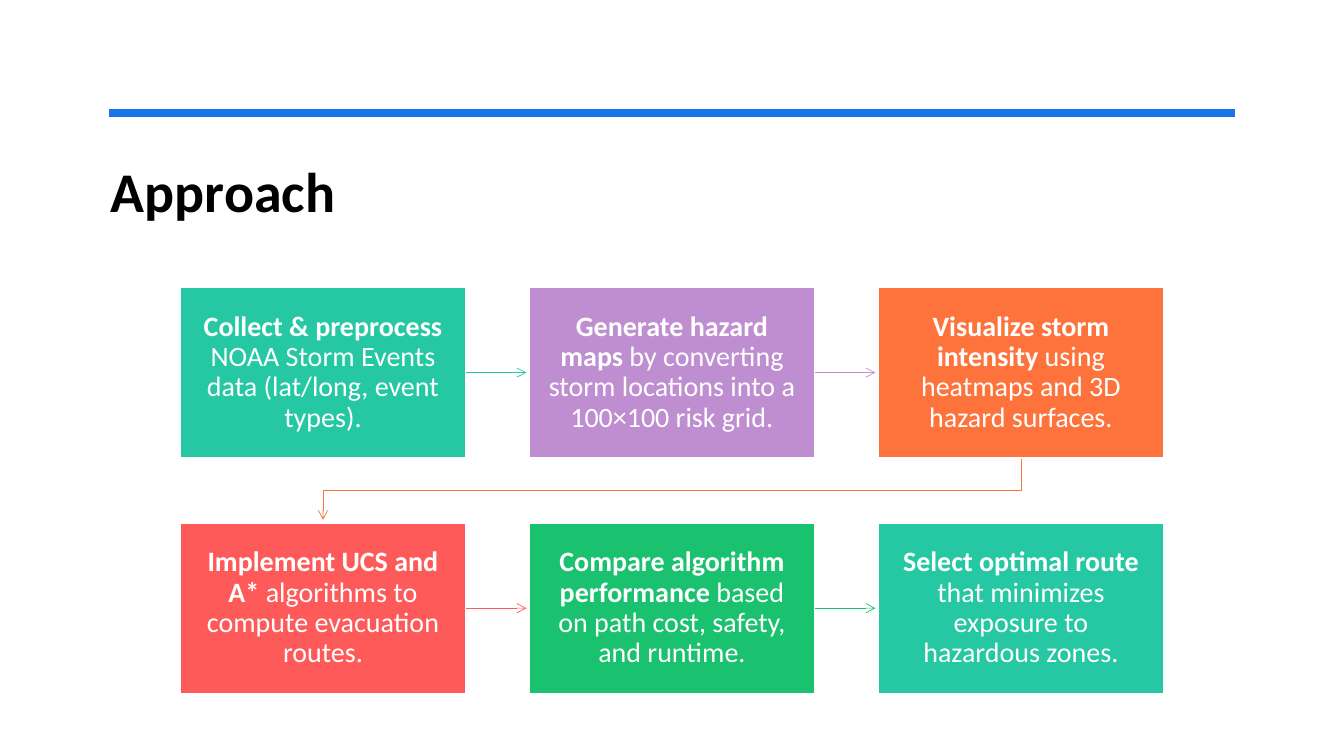
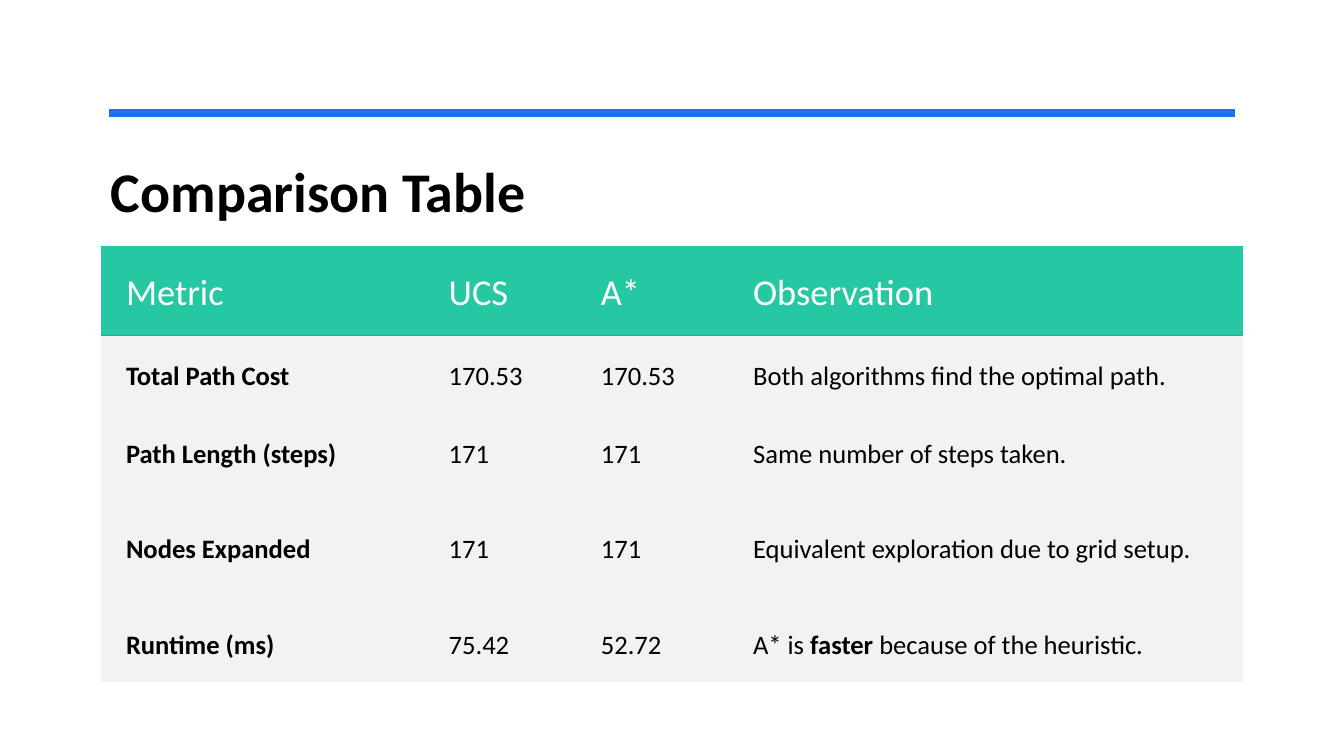
from lxml import etree
from pptx import Presentation
from pptx.dml.color import RGBColor
from pptx.enum import shapes, text
from pptx.oxml import ns
from pptx.util import Inches, Pt

FONT = "Calibri"
COLORS = {
    "black": "000000", "white": "FFFFFF", "blue": "1973EB", "teal": "25C8A2",
    "purple": "BF8ED1", "orange": "FE733C", "red": "FE5A5A", "green": "1AC16E",
    "light": "F2F2F2", "gray": "808080",
}
STEPS = [
    ("teal", "|Collect & preprocess| NOAA Storm Events data (lat/long, event types)."),
    ("purple", "|Generate hazard maps| by converting storm locations into a 100×100 risk grid."),
    ("orange", "|Visualize storm intensity| using heatmaps and 3D hazard surfaces."),
    ("red", "|Implement UCS and A*| algorithms to compute evacuation routes."),
    ("green", "|Compare algorithm performance| based on path cost, safety, and runtime."),
    ("teal", "|Select optimal route| that minimizes exposure to hazardous zones."),
]
METRICS = [
    ("Metric", "UCS", "A*", "Observation"),
    ("|Total Path Cost|", "170.53", "170.53", "Both algorithms find the optimal path."),
    ("|Path Length (steps)|", "171", "171", "Same number of steps taken."),
    ("|Nodes Expanded|", "171", "171", "Equivalent exploration due to grid setup."),
    ("|Runtime (ms)|", "75.42", "52.72", "A* is |faster| because of the heuristic."),
]
NO_STYLE = "{2D5ABB26-0587-4C30-8999-92F81FD0307C}"


def rgb(name):
    return RGBColor.from_string(COLORS[name])


def write(tf, content, size, color, align=text.PP_ALIGN.LEFT, spacing=1.0,
          anchor=text.MSO_ANCHOR.MIDDLE):
    """Fill a text frame; stretches between bars are bold."""
    tf.word_wrap = True
    tf.vertical_anchor = anchor
    p = tf.paragraphs[0]
    p.alignment, p.line_spacing = align, spacing
    for i, part in enumerate(content.split("|")):
        if part:
            r = p.add_run()
            r.text = part
            r.font.name, r.font.size, r.font.bold = FONT, Pt(size), i % 2 == 1
            r.font.color.rgb = rgb(color)


def style_line(shape, color, width, arrow=False):
    shape.line.color.rgb = rgb(color)
    shape.line.width = Pt(width)
    if arrow:
        ln = shape.line._get_or_add_ln()
        etree.SubElement(ln, ns.qn("a:tailEnd"), type="arrow")


def add_line(s, start, end, color, width, arrow=False):
    points = [Inches(v) for v in (*start, *end)]
    line = s.shapes.add_connector(shapes.MSO_CONNECTOR.STRAIGHT, *points)
    style_line(line, color, width, arrow)
    etree.SubElement(line._element.spPr, ns.qn("a:effectLst"))


def add_elbow(s, points, color):
    (x, y), *rest = [(Inches(px), Inches(py)) for px, py in points]
    builder = s.shapes.build_freeform(x, y)
    builder.add_line_segments(rest, close=False)
    elbow = builder.convert_to_shape()
    elbow.fill.background()
    elbow.shadow.inherit = False
    style_line(elbow, color, 0.5, arrow=True)


def titled_slide(prs, title):
    s = prs.slides.add_slide(prs.slide_layouts[5])
    ph = s.shapes.title
    ph.left, ph.top, ph.width, ph.height = map(Inches, (1, 1.5, 11.33, 1.25))
    write(ph.text_frame, f"|{title}|", 40, "black", anchor=text.MSO_ANCHOR.TOP)
    add_line(s, (1.08, 1.12), (12.25, 1.12), "blue", 6)
    return s


def add_step(s, left, top, width, height, color, content):
    box = s.shapes.add_shape(shapes.MSO_SHAPE.RECTANGLE,
                             *map(Inches, (left, top, width, height)))
    box.shadow.inherit = False
    box.fill.solid()
    box.fill.fore_color.rgb = rgb(color)
    style_line(box, "white", 1)
    tf = box.text_frame
    tf.margin_left = tf.margin_right = Inches(0.14)
    tf.margin_top = tf.margin_bottom = Inches(0.15)
    write(tf, content, 20, "white", text.PP_ALIGN.CENTER, 0.9)


def add_process(s, left, top, width, height, steps, cols=3):
    """Place steps row by row in a box, each with an arrow to the next."""
    rows = len(steps) // cols
    box_w, box_h = width * 0.29, height * 0.42
    gap_x = (width - cols * box_w) / (cols - 1)
    gap_y = (height - rows * box_h) / (rows - 1)
    clear = 0.03
    for i, (color, content) in enumerate(steps):
        row, col = divmod(i, cols)
        x, y = left + col * (box_w + gap_x), top + row * (box_h + gap_y)
        if col < cols - 1:
            mid = y + box_h / 2
            add_line(s, (x + box_w, mid), (x + box_w + gap_x - clear, mid),
                     color, 0.5, arrow=True)
        elif row < rows - 1:
            from_x, to_x = x + box_w / 2, left + box_w / 2
            bottom = y + box_h
            turn = bottom + gap_y / 2
            add_elbow(s, [(from_x, bottom), (from_x, turn), (to_x, turn),
                          (to_x, bottom + gap_y - clear)], color)
        add_step(s, x, y, box_w, box_h, color, content)


def add_bottom_border(cell, color, width):
    ln = etree.Element(ns.qn("a:lnB"), w=str(Pt(width)))
    fill = etree.SubElement(ln, ns.qn("a:solidFill"))
    etree.SubElement(fill, ns.qn("a:srgbClr"), val=COLORS[color])
    cell._tc.get_or_add_tcPr().insert(0, ln)


def add_metrics(s, left, top, col_widths, row_heights, data):
    box = map(Inches, (left, top, sum(col_widths), sum(row_heights)))
    table = s.shapes.add_table(len(data), len(data[0]), *box).table
    table.first_row = table.horz_banding = False
    table._tbl.tblPr.find(ns.qn("a:tableStyleId")).text = NO_STYLE
    for col, width in zip(table.columns, col_widths):
        col.width = Inches(width)
    for i, (row, height) in enumerate(zip(table.rows, row_heights)):
        row.height = Inches(height)
        header = i == 0
        for cell, content in zip(row.cells, data[i]):
            cell.fill.solid()
            cell.fill.fore_color.rgb = rgb("teal" if header else "light")
            cell.margin_left = cell.margin_right = Inches(0.25)
            cell.margin_top, cell.margin_bottom = Inches(0.16), Inches(0.12)
            cell.vertical_anchor = text.MSO_ANCHOR.MIDDLE
            write(cell.text_frame, content, 26 if header else 19,
                  "white" if header else "black")
            if header:
                add_bottom_border(cell, "gray", 0.75)


def main():
    prs = Presentation()
    prs.slide_width, prs.slide_height = Inches(13.33), Inches(7.5)
    s = titled_slide(prs, "Approach")
    add_process(s, 1.79, 2.85, 9.75, 4.03, STEPS)
    s = titled_slide(prs, "Comparison Table")
    add_metrics(s, 1, 2.44, [3.2, 1.51, 1.51, 5.11],
                [0.89, 0.77, 0.77, 1.13, 0.77], METRICS)
    prs.save("out.pptx")


if __name__ == "__main__":
    main()
